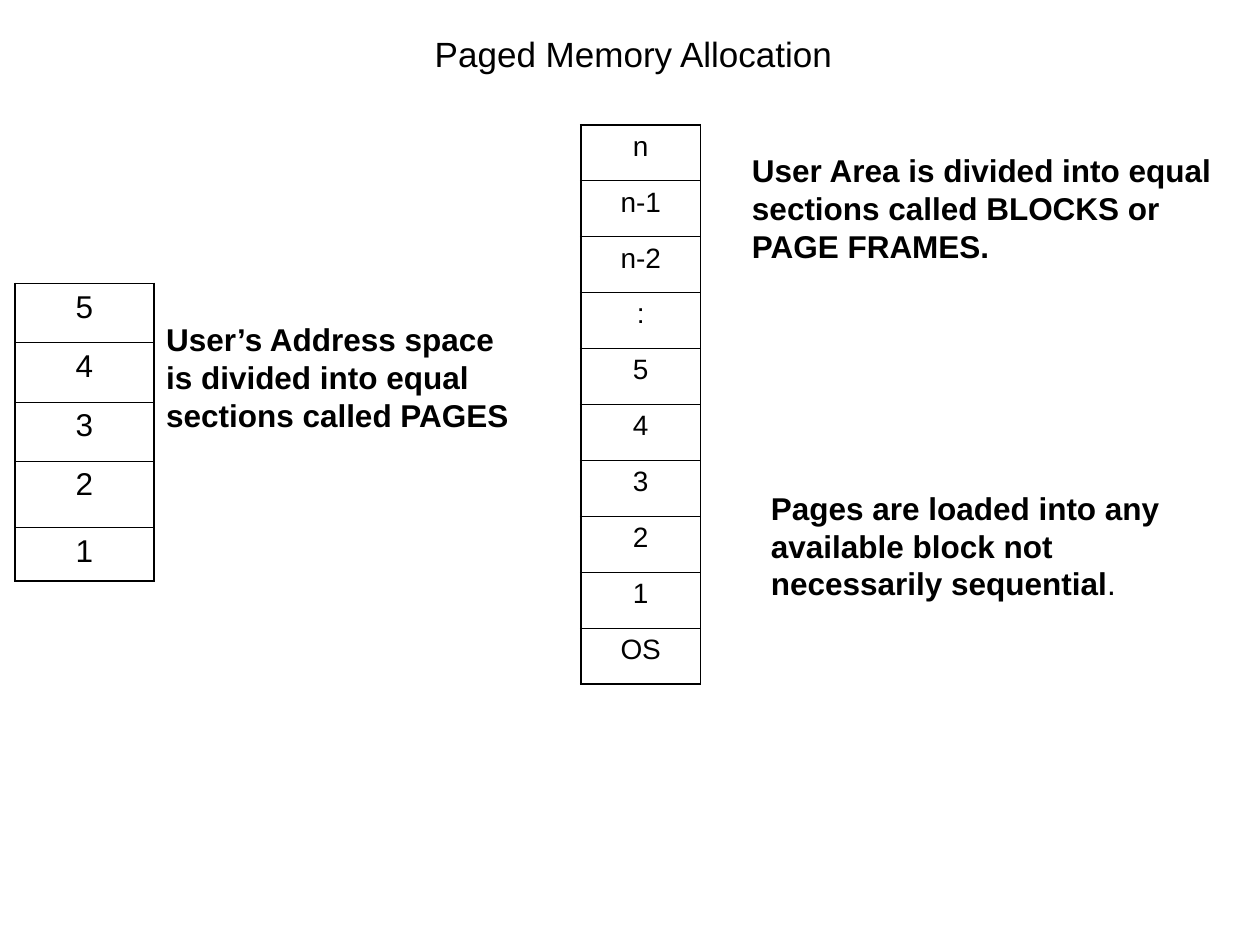
from lxml.etree import SubElement
from pptx import Presentation
from pptx.dml.color import RGBColor
from pptx.enum.text import MSO_ANCHOR, MSO_AUTO_SIZE, PP_ALIGN
from pptx.oxml.ns import qn
from pptx.util import Inches, Pt

BLACK = "000000"
THICK, THIN = 1.08, 0.45


def rgb(value):
    return RGBColor.from_string(value)


def format_font(font, **values):
    """Set the font name, colour and any further attributes."""
    font.color.rgb = rgb(BLACK)
    for name, value in {"name": "Arial", "bold": False, **values}.items():
        setattr(font, name, value)


def format_frame(tf, align=PP_ALIGN.LEFT):
    values = {"word_wrap": True, "auto_size": MSO_AUTO_SIZE.NONE,
              "vertical_anchor": MSO_ANCHOR.TOP}
    for name, value in values.items():
        setattr(tf, name, value)
    tf.paragraphs[0].alignment = align


def add_title(s, text, left, top, width, height):
    sp = s.shapes.title
    box = {"left": left, "top": top, "width": width, "height": height}
    for name, value in box.items():
        setattr(sp, name, Inches(value))
    sp.text_frame.text = text
    format_frame(sp.text_frame)
    format_font(sp.text_frame.paragraphs[0].font, size=Pt(20))


def add_note(s, left, top, width, text, plain_end=""):
    """Add a bold remark, with an optional regular ending."""
    sp = s.shapes.add_textbox(Inches(left), Inches(top), Inches(width), Inches(1))
    format_frame(sp.text_frame)
    p = sp.text_frame.paragraphs[0]
    for part, bold in ((text, True), (plain_end, False)):
        if part:
            r = p.add_run()
            r.text = part
            format_font(r.font, size=Pt(18), bold=bold)


def add_border(cell, side, width):
    ln = SubElement(cell._tc.get_or_add_tcPr(), qn(f"a:ln{side}"), w=str(Pt(width)))
    fill = SubElement(ln, qn("a:solidFill"))
    SubElement(fill, qn("a:srgbClr"), val=BLACK)


def add_memory(s, left, top, width, labels, heights, size):
    """Add a one-column table with a thick frame and thin row lines."""
    frame = s.shapes.add_table(len(labels), 1, Inches(left), Inches(top),
                               Inches(width), Inches(sum(heights)))
    table = frame.table
    table.first_row = table.horz_banding = False
    last = len(labels) - 1
    for i, (label, height) in enumerate(zip(labels, heights)):
        table.rows[i].height = Inches(height)
        cell = table.cell(i, 0)
        borders = {"L": THICK, "R": THICK,
                   "T": THICK if i == 0 else THIN,
                   "B": THICK if i == last else THIN}
        for side, line in borders.items():
            add_border(cell, side, line)
        cell.fill.background()
        cell.text = label
        p = cell.text_frame.paragraphs[0]
        p.alignment = PP_ALIGN.CENTER
        format_font(p.runs[0].font, size=Pt(size))


def main():
    prs = Presentation()
    prs.slide_width, prs.slide_height = Inches(10), Inches(7.5)
    s = prs.slides.add_slide(prs.slide_layouts[5])
    add_title(s, "Paged Memory Allocation", 3.35, 0.21, 3.46, 0.44)

    # Pages of the user's address space
    add_memory(s, 0.12, 2.25, 1.1, ["5", "4", "3", "2", "1"],
               [0.47, 0.47, 0.47, 0.53, 0.42], 18)

    # Page frames of main memory
    frames = ["n", "n-1", "n-2", ":", "5", "4", "3", "2", "1", "OS"]
    add_memory(s, 4.61, 0.99, 0.95, frames, [4.44 / len(frames)] * len(frames), 16)

    # Remarks
    add_note(s, 1.22, 2.49, 3.07,
             "User’s Address space is divided into equal sections called PAGES")
    add_note(s, 5.87, 1.15, 3.86,
             "User Area is divided into equal sections called BLOCKS or PAGE FRAMES.")
    add_note(s, 6.02, 3.83, 3.54,
             "Pages are loaded into any available block not necessarily sequential", ".")
    prs.save("out.pptx")


if __name__ == "__main__":
    main()
